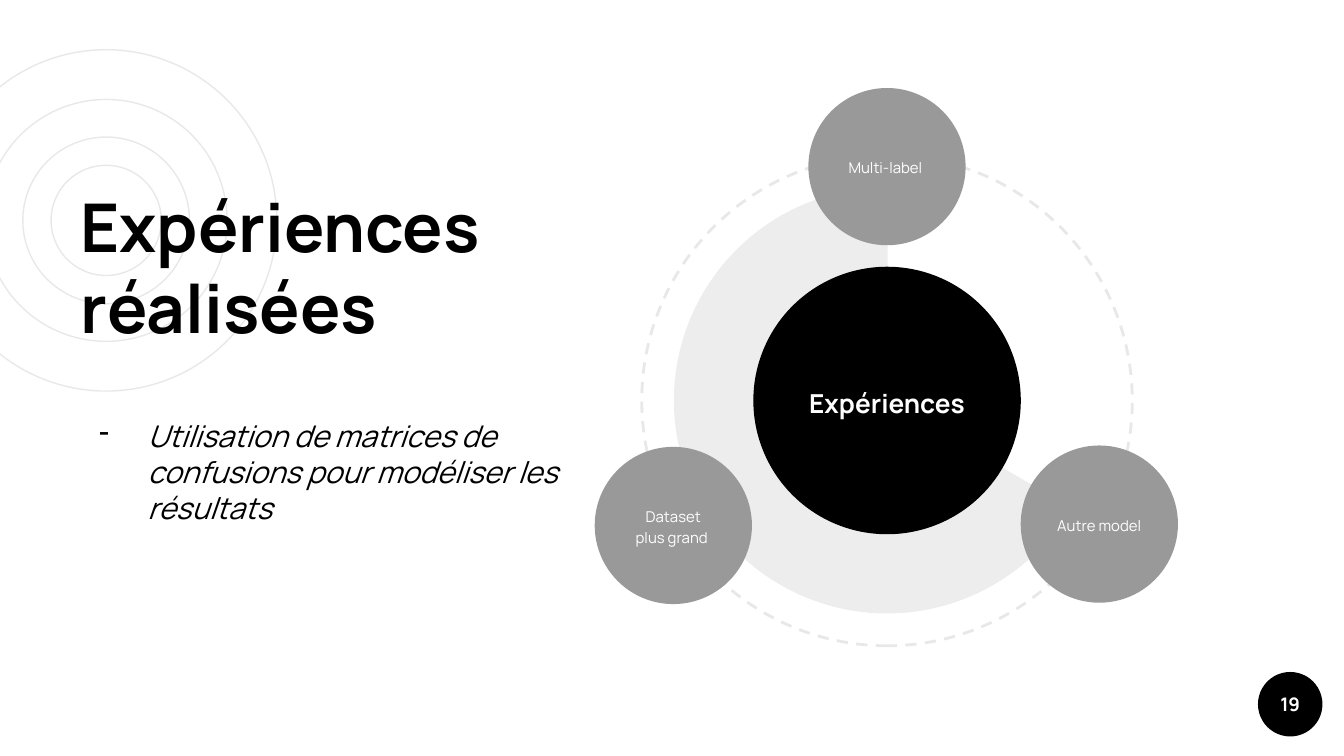
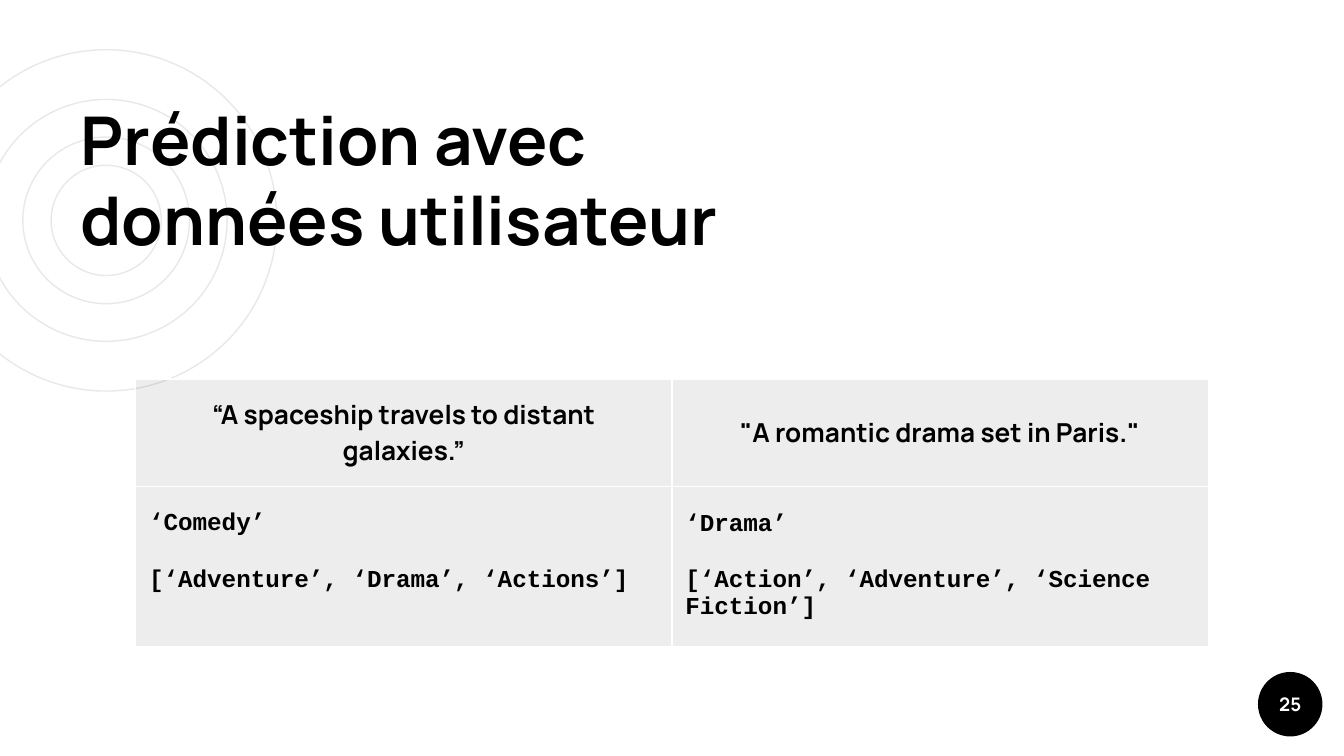
from pptx import Presentation
from pptx.dml.color import RGBColor
from pptx.enum.dml import MSO_LINE
from pptx.enum.shapes import MSO_SHAPE as Shape
from pptx.enum.text import MSO_ANCHOR as Anchor, PP_ALIGN as Align
from pptx.oxml import parse_xml
from pptx.oxml.ns import nsdecls, qn
from pptx.util import Inches, Pt

BLACK = RGBColor(0, 0, 0)
WHITE = RGBColor(255, 255, 255)
GREY = RGBColor(0x99, 0x99, 0x99)
PALE = RGBColor(0xE8, 0xE8, 0xE8)
SANS, MONO = "Manrope", "Courier New"
TINT = 7  # percent of black in pale areas

# Content
TRIALS = {
    "title": "Expériences réalisées",
    "note": "Utilisation de matrices de confusions pour modéliser les résultats",
    "hub": "Expériences",
    "page": "19",
}
NODES = [  # label, centre x, centre y
    ("Multi-label ", 6.6, 1.24),
    ("Dataset plus grand ", 5.01, 3.91),
    ("Autre model ", 8.18, 3.9),
]
GUESS = {"title": "Prédiction avec données utilisateur", "page": "25"}
PROMPTS = ["“A spaceship travels to distant galaxies.”",
           '"A romantic drama set in Paris."']
GENRES = [  # lines, bottom margin, gap in points
    (["‘Comedy’", "[‘Adventure’, ‘Drama’, ‘Actions’]"], 0.28, 16),
    (["‘Drama’", "[‘Action’, ‘Adventure’, ‘Science Fiction’]"], 0.07, 15),
]

# Places
HUB = (6.6, 2.98)
RINGS = (0.79, 1.64, (2.54, 1.24, 1.8, 0.82))
BADGE = (9.6, 5.24, 0.48)


def write(frame, text, size=16, font=SANS, color=BLACK, bold=False,
          italic=False, align=Align.LEFT, gap=0, line=None, bullet=None,
          more=False):
    """Put text in the first paragraph, or in a new one if more is set."""
    para = frame.add_paragraph() if more else frame.paragraphs[0]
    para.alignment = align
    if line:
        para.line_spacing = line
    if gap:
        para.space_before = Pt(gap)
    if bullet:
        props = para._p.get_or_add_pPr()
        props.set("marL", str(Inches(0.5)))
        props.set("indent", str(Inches(-0.36)))
        props.append(parse_xml(
            f'<a:buClr {nsdecls("a")}><a:srgbClr val="{color}"/></a:buClr>'))
        props.append(parse_xml(f'<a:buChar {nsdecls("a")} char="{bullet}"/>'))
    run = para.add_run()
    run.text = text
    face = run.font
    face.name, face.size, face.color.rgb = font, Pt(size), color
    face.bold, face.italic = bold, italic


def inset(frame, size):
    frame.margin_left = frame.margin_right = Inches(size)
    frame.margin_top = frame.margin_bottom = Inches(size)
    frame.word_wrap = True


def fade(node):
    """Make the first colour under node mostly clear."""
    color = next(node.iter(qn("a:srgbClr")))
    color.append(parse_xml(f'<a:alpha {nsdecls("a")} val="{TINT * 1000}"/>'))


def disc(slide, x, y, size, fill=None, line=None, width=0.75, kind=Shape.OVAL):
    """Draw a round shape about its centre."""
    item = slide.shapes.add_shape(kind, Inches(x - size / 2),
                                  Inches(y - size / 2), Inches(size), Inches(size))
    item.shadow.inherit = False
    if fill is None:
        item.fill.background()
    else:
        item.fill.solid()
        item.fill.fore_color.rgb = fill
    if line is None:
        item.line.fill.background()
    else:
        item.line.color.rgb, item.line.width = line, Pt(width)
    return item


def label(item, text, size, pad=0.1, **style):
    frame = item.text_frame
    inset(frame, pad)
    frame.vertical_anchor = Anchor.MIDDLE
    write(frame, text, size=size, color=WHITE, align=Align.CENTER, **style)


def start(deck, page):
    """Add a slide with its rings and page badge."""
    slide = deck.slides.add_slide(deck.slide_layouts[6])
    x, y, sizes = RINGS
    for size in sizes:
        disc(slide, x, y, size, line=PALE)
    label(disc(slide, *BADGE, fill=BLACK), page, 10, pad=0, bold=True)
    return slide


def title(slide, text, width, height, anchor):
    box = slide.shapes.add_textbox(Inches(0.5), Inches(1.28),
                                   Inches(width), Inches(height))
    frame = box.text_frame
    inset(frame, 0.1)
    frame.vertical_anchor = anchor
    write(frame, text, size=36, bold=True)
    return frame


def style_cell(cell, bottom=0.07):
    cell.vertical_anchor = Anchor.MIDDLE
    cell.margin_left = cell.margin_right = Inches(0.1)
    cell.margin_top, cell.margin_bottom = Inches(0.07), Inches(bottom)
    cell.fill.solid()
    cell.fill.fore_color.rgb = BLACK
    props = cell._tc.get_or_add_tcPr()
    fade(props)
    for spot, side in enumerate("LRTB"):
        props.insert(spot, parse_xml(
            f'<a:ln{side} {nsdecls("a")} w="{Pt(0.75)}"><a:solidFill>'
            f'<a:srgbClr val="{WHITE}"/></a:solidFill></a:ln{side}>'))


def trials(deck):
    slide = start(deck, TRIALS["page"])
    # Orbit and pale sector
    orbit = disc(slide, *HUB, 3.65, line=PALE, width=1.5)
    orbit.line.dash_style = MSO_LINE.DASH
    orbit.rotation = 270
    pie = disc(slide, *HUB, 3.17, fill=BLACK, kind=Shape.PIE)
    pie.adjustments[0], pie.adjustments[1] = 18.12, 162.15
    fade(pie._element.spPr)
    # Hub and nodes
    label(disc(slide, *HUB, 1.99, fill=BLACK), TRIALS["hub"], 14,
          pad=0.05, bold=True, line=1.15)
    for text, x, y in NODES:
        label(disc(slide, x, y, 1.17, fill=GREY), text, 8, line=1.15)
    # Title and note
    frame = title(slide, TRIALS["title"], 4.27, 3.9, Anchor.TOP)
    write(frame, TRIALS["note"], italic=True, gap=38, bullet="-", more=True)


def guess(deck):
    slide = start(deck, GUESS["page"])
    title(slide, GUESS["title"], 5.71, 0.75, Anchor.BOTTOM)
    # Table of prompts and predicted genres
    table = slide.shapes.add_table(2, 2, Inches(1.01), Inches(2.82),
                                   Inches(7.98), Inches(1.99)).table
    table.first_row = table.horz_banding = False
    table.rows[0].height, table.rows[1].height = Inches(0.8), Inches(1.19)
    for col, (prompt, (lines, bottom, gap)) in enumerate(zip(PROMPTS, GENRES)):
        table.columns[col].width = Inches(3.99)
        head, body = table.cell(0, col), table.cell(1, col)
        style_cell(head)
        write(head.text_frame, prompt, size=14, bold=True, align=Align.CENTER)
        style_cell(body, bottom)
        for row, text in enumerate(lines):
            write(body.text_frame, text, size=13, font=MONO, bold=True,
                  gap=gap * row, more=row > 0)


def main():
    deck = Presentation()
    deck.slide_width = Inches(10)
    deck.slide_height = deck.slide_width * 9 // 16
    trials(deck)
    guess(deck)
    deck.save("out.pptx")


if __name__ == "__main__":
    main()
